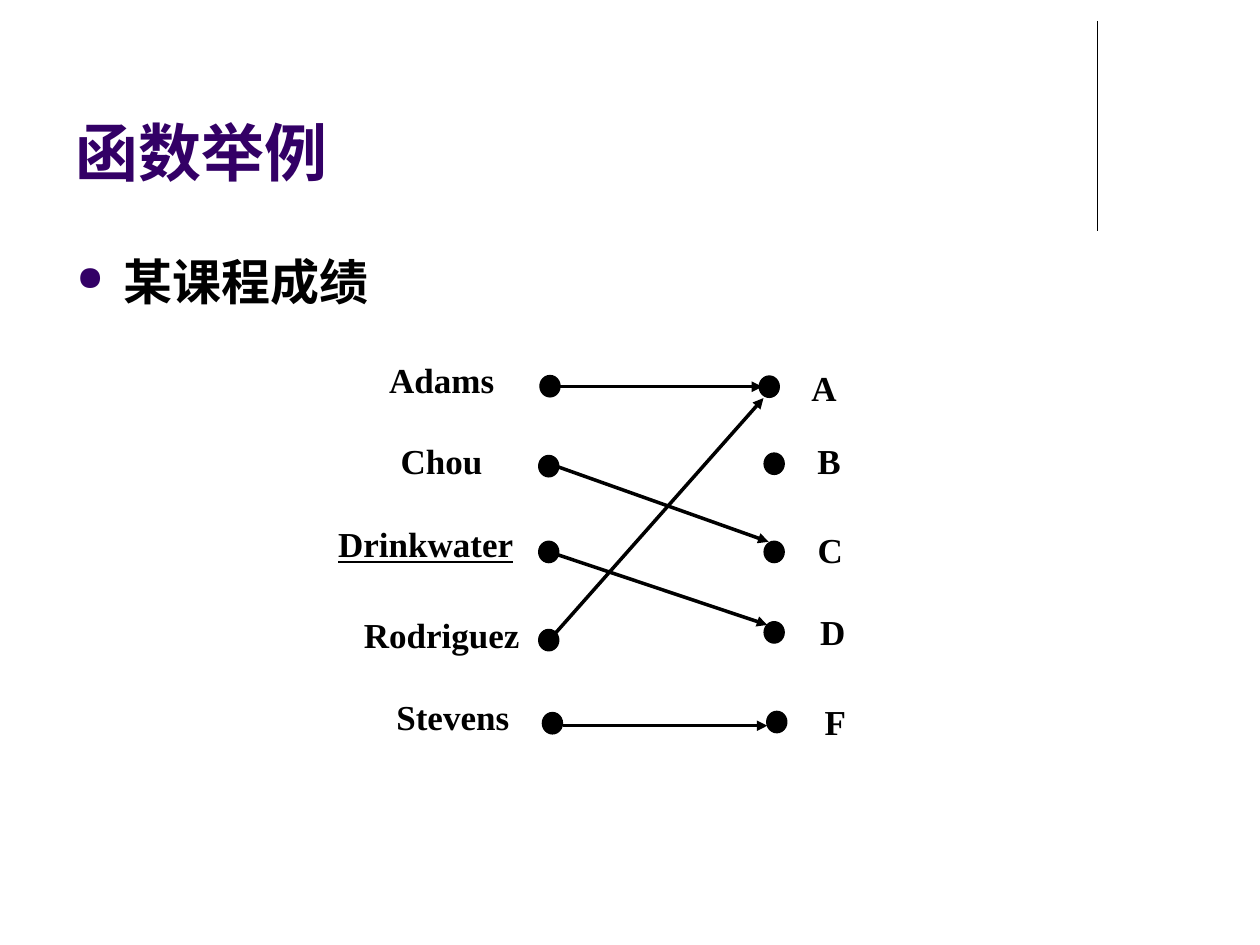
import pptx
import pptx.util
import pptx.dml.color
import pptx.enum.shapes
import pptx.enum.text
import pptx.oxml.ns
from lxml import etree

Pt = pptx.util.Pt
SHAPE = pptx.enum.shapes.MSO_SHAPE
ALIGN = pptx.enum.text.PP_ALIGN
ANCHOR = pptx.enum.text.MSO_ANCHOR
COLORS = {"ink": "000000", "accent": "330066"}
FONT = "Times New Roman"
DOT_WIDTH, DOT_HEIGHT = 11.5, 12.25
LABEL_HEIGHT = 41
GRADE_WIDTH = 49

# Each entry: name, label left, label top, label width, dot centre
STUDENTS = [
    ("Adams", 37.5, 0.6, 85.7, (142.3, 24.7)),
    ("Chou", 37.5, 46.6, 85.7, (141.6, 70.4)),
    ("Drinkwater", 0.8, 94.2, 141, (141.6, 119.4)),
    ("Rodriguez", 21, 146, 118.8, (141.6, 169.8)),
    ("Stevens", 34.6, 192.8, 104.4, (143.7, 217.3)),
]
GRADES = [
    ("A", 274.4, 4.9, GRADE_WIDTH, (267.6, 25)),
    ("B", 277.3, 46.6, GRADE_WIDTH, (270.4, 69)),
    ("C", 278, 97.8, GRADE_WIDTH, (270.4, 119.4)),
    ("D", 279.4, 144.6, GRADE_WIDTH, (270.4, 165.4)),
    ("F", 280.9, 195.7, GRADE_WIDTH, (271.9, 216.6)),
]
ARROWS = [
    ((149.8, 218.7), (266.5, 218.7)),
    ((141.9, 69), (267.2, 113.6)),
    ((141.2, 25), (263.6, 25)),
    ((141.9, 169.8), (264.3, 31.5)),
    ((141.9, 119.4), (266.5, 161.1)),
]


def rgb(name):
    return pptx.dml.color.RGBColor.from_string(COLORS[name])


def add_element(parent, tag, **attributes):
    return etree.SubElement(parent, pptx.oxml.ns.qn(tag), attributes)


def style_text(paragraph, size, color="ink"):
    font = paragraph.font
    font.name = FONT
    font.size = Pt(size)
    font.bold = True
    font.color.rgb = rgb(color)


def add_line(page, start, end, width):
    line = page.shapes.add_connector(
        pptx.enum.shapes.MSO_CONNECTOR.STRAIGHT, *map(Pt, (*start, *end)))
    line.line.color.rgb = rgb("ink")
    line.line.width = Pt(width)
    add_element(line._element.spPr, "a:effectLst")
    return line


def add_title(page, left, top, width, height):
    box = page.shapes.add_textbox(Pt(left), Pt(top), Pt(width), Pt(height))
    frame = box.text_frame
    frame.word_wrap = True
    frame.vertical_anchor = ANCHOR.BOTTOM
    frame.text = "函数举例"
    style_text(frame.paragraphs[0], 36, "accent")


def add_body(page, left, top, width, height):
    box = page.shapes.add_textbox(Pt(left), Pt(top), Pt(width), Pt(height))
    frame = box.text_frame
    frame.word_wrap = True
    frame.text = "某课程成绩"
    paragraph = frame.paragraphs[0]
    paragraph.alignment = ALIGN.JUSTIFY
    paragraph.line_spacing = 1.2
    properties = paragraph._p.get_or_add_pPr()
    properties.set("marL", str(Pt(27)))
    properties.set("indent", str(-Pt(27)))
    bullet_color = add_element(properties, "a:buClr")
    add_element(bullet_color, "a:srgbClr", val=COLORS["accent"])
    add_element(properties, "a:buSzPct", val="70000")
    add_element(properties, "a:buChar", char="●")
    style_text(paragraph, 28)


def add_label(page, text, left, top, width):
    label = page.shapes.add_shape(
        SHAPE.ROUNDED_RECTANGULAR_CALLOUT,
        Pt(left), Pt(top), Pt(width), Pt(LABEL_HEIGHT))
    for index, value in enumerate((-0.19, 0.416, 0.167)):
        label.adjustments[index] = value
    label.shadow.inherit = False
    label.fill.background()
    label.line.fill.background()
    frame = label.text_frame
    frame.word_wrap = False
    frame.vertical_anchor = ANCHOR.MIDDLE
    frame.text = text
    paragraph = frame.paragraphs[0]
    paragraph.alignment = ALIGN.CENTER
    style_text(paragraph, 20)
    if text == "Drinkwater":
        paragraph.font.underline = True


def add_dot(page, x, y):
    dot = page.shapes.add_shape(
        SHAPE.FLOWCHART_CONNECTOR,
        Pt(x - DOT_WIDTH / 2), Pt(y - DOT_HEIGHT / 2),
        Pt(DOT_WIDTH), Pt(DOT_HEIGHT))
    dot.shadow.inherit = False
    dot.fill.solid()
    dot.fill.fore_color.rgb = rgb("ink")
    dot.line.color.rgb = rgb("ink")
    dot.line.width = Pt(0.75)


def add_mapping(page, left, top):
    """Draw the function from students to grades."""
    for start, end in ARROWS:
        arrow = add_line(page, (left + start[0], top + start[1]),
                         (left + end[0], top + end[1]), 2)
        add_element(arrow.line._get_or_add_ln(), "a:tailEnd", type="triangle")
    for text, x, y, width, (dot_x, dot_y) in STUDENTS + GRADES:
        add_dot(page, left + dot_x, top + dot_y)
        add_label(page, text, left + x, top + y, width)


def main():
    deck = pptx.Presentation()
    deck.slide_width, deck.slide_height = Pt(720), Pt(540)
    page = deck.slides.add_slide(deck.slide_layouts[6])
    add_line(page, (627, 12), (627, 132), 0.75)
    add_title(page, 36, 9.4, 594, 102.2)
    add_body(page, 36.7, 133.2, 657.4, 63.4)
    add_mapping(page, 172, 196)
    deck.save("out.pptx")


if __name__ == "__main__":
    main()
